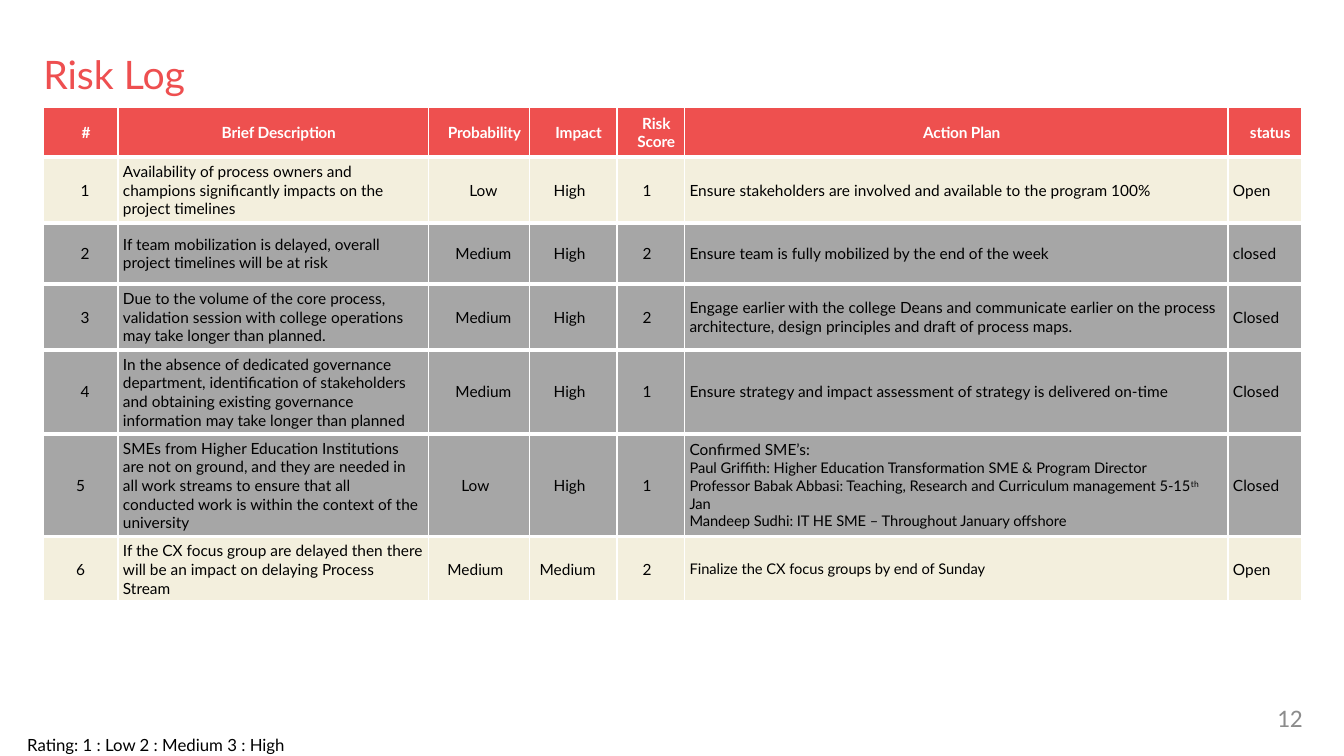
"""Build the Risk Log slide."""
from dataclasses import dataclass

from lxml import etree
from pptx import Presentation
from pptx.dml.color import RGBColor
from pptx.enum.text import MSO_ANCHOR, PP_ALIGN
from pptx.oxml.ns import qn
from pptx.slide import Slide
from pptx.table import _Cell
from pptx.text.text import TextFrame, _Paragraph
from pptx.util import Inches, Pt

LEFT, MID, RIGHT = PP_ALIGN.LEFT, PP_ALIGN.CENTER, PP_ALIGN.RIGHT
CENTRE, TOP = MSO_ANCHOR.MIDDLE, MSO_ANCHOR.TOP
UNIT = Inches(0.01)
SIZE = (1333, 750)
COLS = (74, 308, 100, 87, 67, 539, 73)
ROWS = (49,) + (61,) * 6
PROB, IMPACT, SCORE = 2, 3, 4
WIDE = (1, 5, 6)


@dataclass(frozen=True)
class Theme:
    """Colours, fonts and type sizes."""
    red: str = "EE4F50"
    head: str = "EE504F"
    cream: str = "F3EFDD"
    grey: str = "A6A6A6"
    pale: str = "8C8C8C"
    white: str = "FFFFFF"
    black: str = "000000"
    main: str = "Lato"
    plain: str = "Calibri"
    title: float = 28
    page: float = 18
    note: float = 12
    body: float = 11
    small: float = 10.5


THEME = Theme()


@dataclass(frozen=True)
class Piece:
    """One run of text."""
    text: str
    size: float = THEME.body
    color: str = THEME.black
    font: str = THEME.main
    bold: bool = False
    track: int = 0
    lift: int = 0


@dataclass(frozen=True)
class Label:
    """Text placed on the grid."""
    place: tuple[int, int, int, int]
    piece: Piece
    align: PP_ALIGN = LEFT


@dataclass(frozen=True)
class Risk:
    """One row of the log."""
    brief: str
    prob: str
    impact: str
    score: str
    plan: tuple[tuple[Piece, ...], ...]
    state: str
    fill: str = THEME.grey


@dataclass(frozen=True)
class Look:
    """How a table cell is set."""
    fill: str
    top: float = 3
    inset: int = 0
    align: PP_ALIGN = MID
    left: int = 0
    right: int = 0


def line(text: str, size: float = THEME.body) -> tuple[Piece, ...]:
    """Return a paragraph of one run."""
    return (Piece(text, size),)


LABELS = (
    Label((43, 50, 1198, 47), Piece("Risk Log", THEME.title, THEME.red)),
    Label((985, 697, 307, 38), Piece("12", THEME.page, THEME.pale, THEME.plain), RIGHT),
)
NOTE = Label((27, 729, 524, 42), Piece("Rating: 1 : Low 2 : Medium 3 : High", THEME.note))
HEADS = ("#", "Brief Description", "Probability", "Impact", "Risk Score", "Action Plan", "status")
SMES = (
    line("Confirmed SME’s:"),
    line("Paul Griffith: Higher Education Transformation SME & Program Director", THEME.small),
    (Piece("Professor Babak Abbasi: Teaching, Research and Curriculum management 5-15", THEME.small),
     Piece("th", THEME.small, lift=30000), Piece(" Jan", THEME.small)),
    line("Mandeep Sudhi: IT HE SME – Throughout January offshore", THEME.small),
)
RISKS = (
    Risk("Availability of process owners and champions significantly impacts on the project timelines",
         "Low", "High", "1",
         (line("Ensure stakeholders are involved and available to the program 100%"),),
         "Open", THEME.cream),
    Risk("If team mobilization is delayed, overall project timelines will be at risk",
         "Medium", "High", "2",
         (line("Ensure team is fully mobilized by the end of the week"),), "closed"),
    Risk("Due to the volume of the core process, validation session with college operations "
         "may take longer than planned.", "Medium", "High", "2",
         (line("Engage earlier with the college Deans and communicate earlier on the process "
               "architecture, design principles and draft of process maps."),), "Closed"),
    Risk("In the absence of dedicated governance department, identification of stakeholders "
         "and obtaining existing governance information may take longer than planned",
         "Medium", "High", "1",
         (line("Ensure strategy and impact assessment of strategy is delivered on-time"),), "Closed"),
    Risk("SMEs from Higher Education Institutions are not on ground, and they are needed in all "
         "work streams to ensure that all conducted work is within the context of the university",
         "Low", "High", "1", SMES, "Closed"),
    Risk("If the CX focus group are delayed then there will be an impact on delaying Process Stream",
         "Medium", "Medium ", "2",
         (line("Finalize the CX focus groups by end of Sunday", THEME.small),), "Open", THEME.cream),
)


def write(para: _Paragraph, pieces: tuple[Piece, ...], align: PP_ALIGN) -> None:
    """Fill a paragraph run by run."""
    para.alignment = align
    for piece in pieces:
        run = para.add_run()
        run.text = piece.text
        font = run.font
        font.name, font.size, font.bold = piece.font, Pt(piece.size), piece.bold
        font.color.rgb = RGBColor.from_string(piece.color)
        for key, value in (("spc", piece.track), ("baseline", piece.lift)):
            if value:
                font._element.set(key, str(value))


def fill_frame(frame: TextFrame, label: Label) -> None:
    """Put a label in a frame without margins."""
    frame.word_wrap = True
    frame.vertical_anchor = TOP
    frame.margin_left = frame.margin_right = frame.margin_top = frame.margin_bottom = 0
    write(frame.paragraphs[0], (label.piece,), label.align)


def draw_note(slide: Slide, note: Label) -> None:
    """Draw the rating note on a clear outline."""
    x, y, w, h = note.place
    pen = slide.shapes.build_freeform(x, y, scale=float(UNIT))
    pen.add_line_segments(((x + w, y), (x + w, y + h), (x, y + h)))
    shape = pen.convert_to_shape()
    shape.shadow.inherit = False
    shape.fill.background()
    shape.line.fill.background()
    fill_frame(shape.text_frame, note)


def draw_cell(cell: _Cell, paras: tuple[tuple[Piece, ...], ...], look: Look) -> None:
    """Set the borders, fill and text of a cell."""
    props = cell._tc.get_or_add_tcPr()
    for side, width in (("L", 1), ("R", 1), ("T", look.top), ("B", 3)):
        edge = etree.SubElement(props, qn(f"a:ln{side}"), w=str(Pt(width)))
        paint = etree.SubElement(edge, qn("a:solidFill"))
        etree.SubElement(paint, qn("a:srgbClr"), val=THEME.white)
    cell.fill.solid()
    cell.fill.fore_color.rgb = RGBColor.from_string(look.fill)
    cell.vertical_anchor = CENTRE
    cell.margin_left = cell.margin_right = look.inset * UNIT
    cell.margin_top = cell.margin_bottom = look.inset * UNIT
    frame = cell.text_frame
    for i, pieces in enumerate(paras):
        para = frame.add_paragraph() if i else frame.paragraphs[0]
        write(para, pieces, look.align)
        indent = para._p.get_or_add_pPr()
        for key, value in (("marL", look.left), ("marR", look.right), ("indent", 0)):
            indent.set(key, str(value * UNIT))


def style(row: int, col: int, fill: str) -> Look:
    """Choose the look of a body cell."""
    if col in WIDE:
        return Look(fill, inset=5, align=LEFT)
    late = row >= 5
    left = 0 if late and col == 0 else 9
    right = 16 if col in (IMPACT, SCORE) or late and col == PROB else 0
    return Look(fill, inset=5 if col == PROB else 0, left=left, right=right)


def draw_log(slide: Slide) -> None:
    """Draw the risk table."""
    place = (43, 107, sum(COLS), sum(ROWS))
    table = slide.shapes.add_table(len(ROWS), len(COLS), *(n * UNIT for n in place)).table
    table.first_row = table.horz_banding = False
    for col, width in zip(table.columns, COLS):
        col.width = width * UNIT
    for row, height in zip(table.rows, ROWS):
        row.height = height * UNIT
    for c, text in enumerate(HEADS):
        piece = Piece(text, color=THEME.white, bold=True, track=-10)
        draw_cell(table.cell(0, c), ((piece,),), Look(THEME.head, top=1, left=11))
    for r, risk in enumerate(RISKS, 1):
        front = (str(r), risk.brief, risk.prob, risk.impact, risk.score)
        cells = [(line(text),) for text in front] + [risk.plan, (line(risk.state),)]
        for c, paras in enumerate(cells):
            draw_cell(table.cell(r, c), paras, style(r, c, risk.fill))


def main() -> None:
    """Build and save the deck."""
    deck = Presentation()
    deck.slide_width, deck.slide_height = (n * UNIT for n in SIZE)
    slide = deck.slides.add_slide(deck.slide_layouts[6])
    for label in LABELS:
        box = slide.shapes.add_textbox(*(n * UNIT for n in label.place))
        fill_frame(box.text_frame, label)
    draw_log(slide)
    draw_note(slide, NOTE)
    deck.save("out.pptx")


if __name__ == "__main__":
    main()
